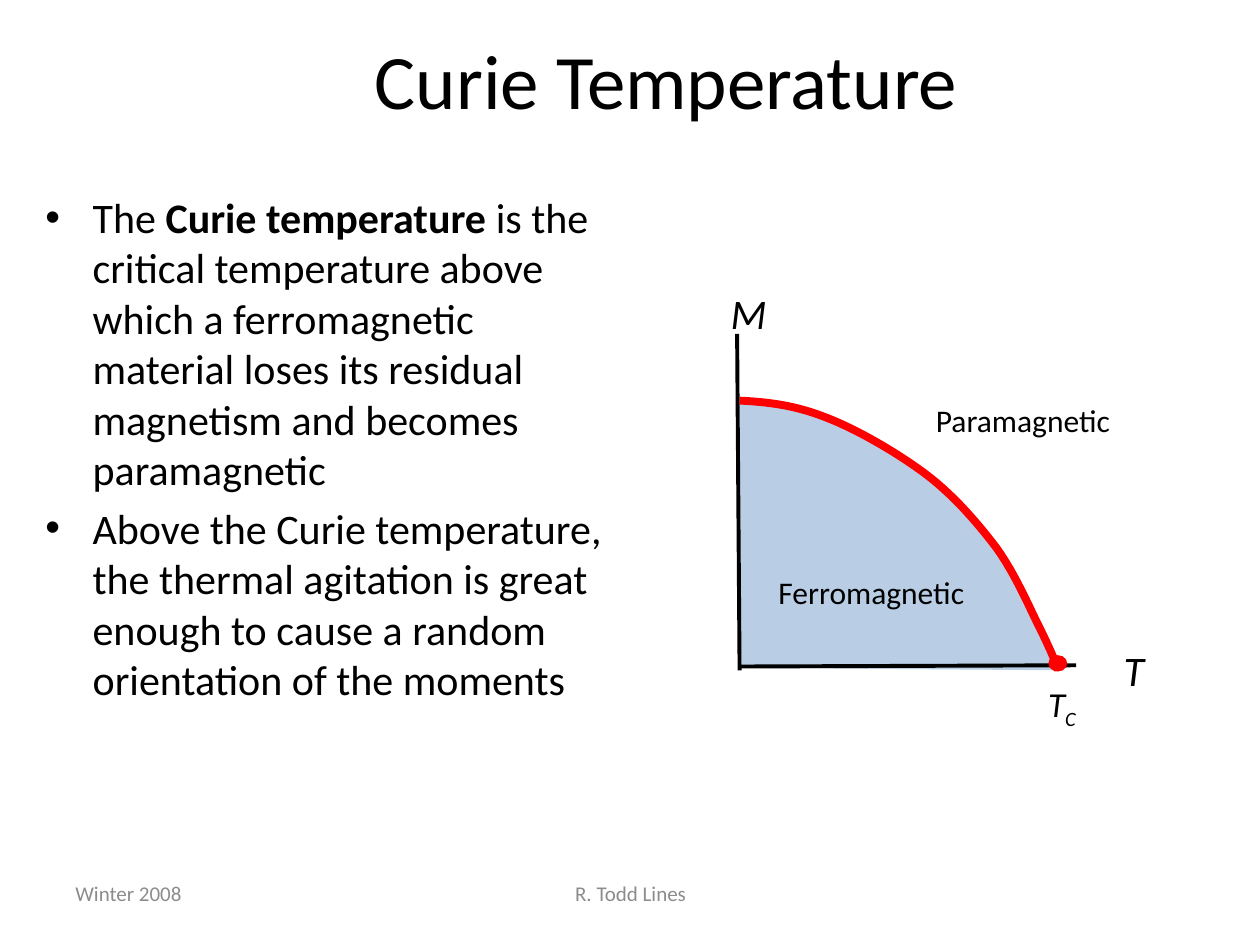
import pptx
import pptx.util
import pptx.dml.color
import pptx.enum.shapes
import pptx.enum.text
import pptx.oxml.ns
import lxml.etree

COLORS = {"ink": "000000", "footer": "8C8C8C", "region": "B9CDE5", "curve": "FF0000"}
FONT = "Calibri"
COLUMNS, ROWS = 100, 75
ALIGN = pptx.enum.text.PP_ALIGN
ANCHOR = pptx.enum.text.MSO_ANCHOR


def curve_points(start, segments, steps=12):
    """Return points along a chain of cubic Bezier segments."""
    points = [start]
    for first, second, end in segments:
        origin = points[-1]
        for step in range(1, steps + 1):
            t = step / steps
            u = 1 - t
            points.append(tuple(
                u**3 * a + 3 * u * u * t * b + 3 * u * t * t * c + t**3 * d
                for a, b, c, d in zip(origin, first, second, end)))
    return points


class SlideBuilder:
    """Holds the grid, the style and the current slide."""

    def __init__(self, deck):
        """Add a title and content slide to the deck."""
        self.column = deck.slide_width / COLUMNS
        self.row = deck.slide_height / ROWS
        self.slide = deck.slides.add_slide(deck.slide_layouts[1])
        self.shapes = self.slide.shapes

    def grid(self, *values):
        """Turn alternating columns and rows into lengths."""
        return [round(value * (self.row if index % 2 else self.column))
                for index, value in enumerate(values)]

    def color(self, name):
        """Look up a named color."""
        return pptx.dml.color.RGBColor.from_string(COLORS[name])

    def add_spans(self, para, pieces, size, color="ink", italic=None):
        """Add (text, bold) pieces to a paragraph as formatted runs."""
        for text, bold in pieces:
            span = para.add_run()
            span.text = text
            span.font.name = FONT
            span.font.size = pptx.util.Pt(size)
            span.font.bold = bold
            span.font.italic = italic
            span.font.color.rgb = self.color(color)

    def placeholder(self, index, area, paragraphs, size):
        """Move a placeholder and fill it with paragraphs."""
        box = self.slide.placeholders[index]
        box.left, box.top, box.width, box.height = self.grid(*area)
        frame = box.text_frame
        frame.auto_size = pptx.enum.text.MSO_AUTO_SIZE.NONE
        for number, pieces in enumerate(paragraphs):
            para = frame.add_paragraph() if number else frame.paragraphs[0]
            self.add_spans(para, pieces, size)

    def label(self, text, area, size, color="ink", italic=None, subscript="",
              align=ALIGN.LEFT, anchor=ANCHOR.TOP, wrap=False):
        """Add a one-line text box, with an optional subscript."""
        frame = self.shapes.add_textbox(*self.grid(*area)).text_frame
        frame.word_wrap = wrap
        frame.vertical_anchor = anchor
        para = frame.paragraphs[0]
        para.alignment = align
        self.add_spans(para, [(text, None)], size, color, italic)
        if subscript:
            self.add_spans(para, [(subscript, None)], size, color, italic)
            para.runs[-1].font._element.set("baseline", "-25000")

    def line(self, start, end, width=2.25):
        """Draw a straight line."""
        connector = self.shapes.add_connector(
            pptx.enum.shapes.MSO_CONNECTOR.STRAIGHT, *self.grid(*start, *end))
        connector.line.color.rgb = self.color("ink")
        connector.line.width = pptx.util.Pt(width)
        lxml.etree.SubElement(connector._element.spPr, pptx.oxml.ns.qn("a:effectLst"))

    def paint(self, shape, fill=None, line=None, width=0):
        """Set fill and outline and remove the shadow."""
        shape.shadow.inherit = False
        if fill:
            shape.fill.solid()
            shape.fill.fore_color.rgb = self.color(fill)
        else:
            shape.fill.background()
        if line:
            shape.line.color.rgb = self.color(line)
            shape.line.width = pptx.util.Pt(width)
        else:
            shape.line.fill.background()

    def outline(self, points, close, **style):
        """Draw a freeform through points."""
        first, *rest = [self.grid(*point) for point in points]
        builder = self.shapes.build_freeform(*first)
        builder.add_line_segments(rest, close=close)
        self.paint(builder.convert_to_shape(), **style)

    def dot(self, area, fill):
        """Draw a filled ellipse."""
        oval = pptx.enum.shapes.MSO_SHAPE.OVAL
        self.paint(self.shapes.add_shape(oval, *self.grid(*area)), fill=fill)


def main():
    """Build and save the slide."""
    deck = pptx.Presentation()
    deck.slide_width = pptx.util.Inches(10)
    deck.slide_height = pptx.util.Inches(7.5)
    page = SlideBuilder(deck)

    curve = curve_points((58.7, 31.8), [
        ((60.7, 31.9), (62.8, 32.1), (65.2, 33)),
        ((67.7, 33.9), (71, 35.8), (73.3, 37.5)),
        ((75.6, 39.2), (77.5, 41.4), (79.1, 43.5)),
        ((80.6, 45.6), (81.7, 48.2), (82.5, 49.8)),
        ((83.3, 51.4), (83.8, 52.6), (84, 53.2)),
    ])
    page.outline(curve + [(58.7, 53)], True, fill="region")

    page.label("Winter 2008", (5, 68.3, 23.3, 5.2), 12, "footer",
               anchor=ANCHOR.MIDDLE, wrap=True)
    page.label("R. Todd Lines", (34.2, 68.3, 31.7, 5.2), 12, "footer",
               align=ALIGN.CENTER, anchor=ANCHOR.MIDDLE, wrap=True)

    page.placeholder(0, (17.5, 0, 70.8, 12.5), [[("Curie Temperature", None)]], 44)
    page.placeholder(1, (2.6, 14.7, 47.1, 50.4), [
        [("The ", None), ("Curie temperature", True),
         (" is the critical temperature above which a ferromagnetic material "
          "loses its residual magnetism and becomes paramagnetic", None)],
        [("Above the Curie temperature, the thermal agitation is great enough "
          "to cause a random orientation of the moments", None)],
    ], 24)

    page.line((58.5, 26.5), (58.7, 53.2))
    page.line((58.8, 52.9), (85.4, 52.8))
    page.outline(curve, False, line="curve", width=4.5)
    page.label("M", (57, 22.3, 4.9, 5), 24, italic=True)
    page.label("T", (88.2, 50.7, 3.7, 5), 24, italic=True)
    page.label("T", (82.2, 53.7, 4.3, 4.4), 20, italic=True, subscript="C")
    page.dot((83.2, 52, 1.5, 1.3), "curve")
    page.label("Ferromagnetic", (60.8, 45, 16.9, 4), 18)
    page.label("Paramagnetic", (73.3, 31.3, 16, 4), 18)

    deck.save("out.pptx")


main()
